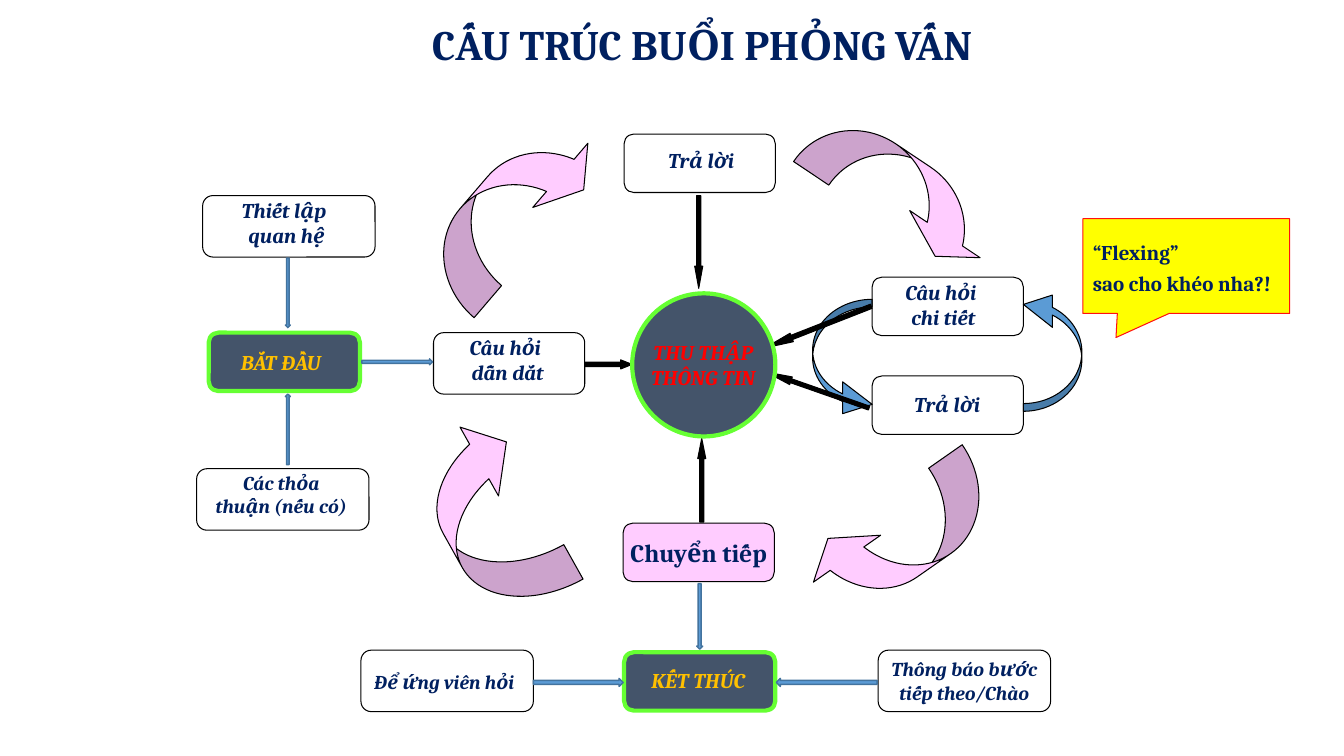
from pptx import Presentation
from pptx import util as u
from pptx.dml.color import RGBColor
from pptx.enum import shapes, text

NAVY = RGBColor(0x00, 0x20, 0x60)
SLATE = RGBColor(0x44, 0x54, 0x6A)
PINK = RGBColor(0xFF, 0xCC, 0xFF)
BLUE = RGBColor(0x5B, 0x9B, 0xD5)
DARK_BLUE = RGBColor(0x43, 0x73, 0x9E)
GREEN = RGBColor(0x66, 0xFF, 0x33)
GOLD = RGBColor(0xFF, 0xC0, 0x00)
RED = RGBColor(0xFF, 0x00, 0x00)
BRIGHT_RED = RGBColor(0xFF, 0x10, 0x10)
YELLOW = RGBColor(0xFF, 0xFF, 0x00)
BLACK = RGBColor(0x00, 0x00, 0x00)
KIND = shapes.MSO_SHAPE

prs = Presentation()
prs.slide_width, prs.slide_height = u.Inches(13.33), u.Inches(7.5)
slide = prs.slides.add_slide(prs.slide_layouts[6])

# Grid: 133.3 columns by 75 rows; every place is (column, row, columns, rows)
COL = prs.slide_width / 133.3
ROW = prs.slide_height / 75


def write(words, place=None, holder=None, size=15, color=NAVY, italic=True,
          align=text.PP_ALIGN.CENTER, spacing=None, wrap=True,
          anchor=text.MSO_ANCHOR.TOP):
    if holder is None:
        x, y, w, h = place
        holder = slide.shapes.add_textbox(
            round(x * COL), round(y * ROW), round(w * COL), round(h * ROW))
    frame = holder.text_frame
    frame.word_wrap = wrap
    frame.vertical_anchor = anchor
    frame.text = words
    for paragraph in frame.paragraphs:
        paragraph.alignment = align
        paragraph.line_spacing = spacing
        font = paragraph.runs[0].font
        font.name, font.size = "Cambria", u.Pt(size)
        font.bold, font.italic = True, italic
        font.color.rgb = color


def draw(kind, place, fill=None, line=BLACK, width=0.75, turn=0, adjust=()):
    x, y, w, h = place
    shape = slide.shapes.add_shape(
        kind, round(x * COL), round(y * ROW), round(w * COL), round(h * ROW))
    shape.shadow.inherit = False
    shape.rotation = turn
    for i, value in enumerate(adjust):
        shape.adjustments[i] = value
    if fill is None:
        shape.fill.background()
    else:
        shape.fill.solid()
        shape.fill.fore_color.rgb = fill
    shape.line.color.rgb = line
    shape.line.width = u.Pt(width)
    return shape


# Title
write("CẤU TRÚC BUỔI PHỎNG VẤN", (38.4, 1.3, 62.5, 5), size=30, italic=False)

# Pink arrows of the outer cycle
for place, turn, depth in [
    ((79.3, 49.2, 20.3, 8.2), 145.1, 0.495),
    ((40.3, 16.9, 20.9, 8.1), 310.6, 0.518),
    ((78.9, 15.4, 21.1, 7.1), 33.8, 0.592),
    ((39, 46.4, 19.5, 9.9), 240.8, 0.395),
]:
    draw(KIND.CURVED_DOWN_ARROW, place, PINK, turn=turn,
         adjust=(depth, 2 * depth, 0.333))

# Blue arrows between detailed question and answer
for place, turn, adjust in [
    ((80.6, 29.7, 5.9, 12), 0, (0.128, 0.535, 0.495)),
    ((101.5, 28.6, 5.8, 12.2), 180, (0.132, 0.552, 0.495)),
]:
    draw(KIND.CURVED_RIGHT_ARROW, place, BLUE, turn=turn, adjust=adjust)

# Outlined steps: words, place of words, place of outline, text size
for words, label, outline, size in [
    ("Câu hỏi \nchi tiết", (86.9, 27.2, 13.3, 6.1), (86.5, 27.5, 15, 5.8), 15),
    ("Câu hỏi \ndẫn dắt", (43.7, 32.7, 13.3, 6.1), (43, 33, 15, 6.1), 15),
    ("Trả lời", (62.9, 14.1, 13.3, 3.5), (61.9, 13.3, 15, 5.8), 15),
    ("Trả lời", (87.3, 38.3, 13.3, 3.5), (86.5, 37.3, 15, 5.8), 15),
    ("Các thỏa thuận (nếu có)", (20.3, 46.2, 15.2, 5.7), (19.5, 46.5, 17.1, 6.1), 14),
    ("Thiết lập \nquan hệ", (20.8, 19.1, 15.2, 6.1), (20.1, 19.4, 17.1, 6.1), 15),
    ("Để ứng viên hỏi", (35.8, 66, 16.5, 3.4), (35.8, 64.5, 17.1, 6.1), 14),
    ("Thông báo bước tiếp theo/Chào", (87.1, 64.7, 17.1, 5.7), (87.1, 64.5, 17.1, 6.1), 14),
]:
    write(words, label, size=size)
    draw(KIND.ROUNDED_RECTANGLE, outline)

# Transition step
transition = draw(KIND.ROUNDED_RECTANGLE, (61.8, 51.9, 15, 5.8), PINK)
write("Chuyển tiếp", holder=transition, size=18, italic=False, wrap=False,
      anchor=text.MSO_ANCHOR.MIDDLE)

# Black arrows into the centre
for kind, place, turn, head in [
    (KIND.UP_ARROW, (69.2, 43.5, 0.8, 8.3), 0, 2.5),
    (KIND.DOWN_ARROW, (68.9, 19.4, 0.8, 9.2), 0, 2.75),
    (KIND.RIGHT_ARROW, (58, 35.7, 4.7, 0.9), 0, 1.26),
    (KIND.LEFT_ARROW, (75.5, 32, 11.3, 0.9), 338.6, 3.14),
    (KIND.LEFT_ARROW, (75.7, 38.3, 10.8, 0.8), 19.3, 3.25),
]:
    draw(kind, place, BLACK, turn=turn, adjust=(0.5, head))

# Start, end and centre
for kind, place, words, label, color in [
    (KIND.ROUNDED_RECTANGLE, (20.7, 33, 15, 5.8),
     "BẮT ĐẦU", (21.2, 34.2, 13.3, 3.6), GOLD),
    (KIND.ROUNDED_RECTANGLE, (61.9, 64.7, 15, 5.8),
     "KẾT THÚC", (62.6, 65.7, 13.3, 3.5), GOLD),
    (KIND.OVAL, (62.7, 29.1, 14.2, 14.2),
     "THU THẬP THÔNG TIN", (62.6, 33.2, 14.3, 6), RED),
]:
    draw(kind, place, SLATE, GREEN, 3)
    write(words, label, color=color)

# Thin blue arrows around start and end
for kind, place in [
    (KIND.UP_ARROW, (28.3, 39.1, 0.5, 7)),
    (KIND.DOWN_ARROW, (28.3, 25.6, 0.5, 6.9)),
    (KIND.RIGHT_ARROW, (35.9, 35.6, 7, 0.6)),
    (KIND.DOWN_ARROW, (69.1, 57.9, 0.6, 6.5)),
    (KIND.RIGHT_ARROW, (52.9, 67.3, 8.9, 0.8)),
    (KIND.LEFT_ARROW, (77, 67.3, 10, 0.8)),
]:
    draw(kind, place, BLUE, DARK_BLUE, 1)

# Callout
draw(KIND.RECTANGULAR_CALLOUT, (107.4, 21.7, 20.5, 9.4), YELLOW, BRIGHT_RED,
     turn=180, adjust=(0.34, -0.754))
write("“Flexing”\nsao cho khéo nha?!", (107.4, 22.8, 20.5, 6.8), italic=False,
      align=text.PP_ALIGN.LEFT, spacing=1.2)

prs.save("out.pptx")
